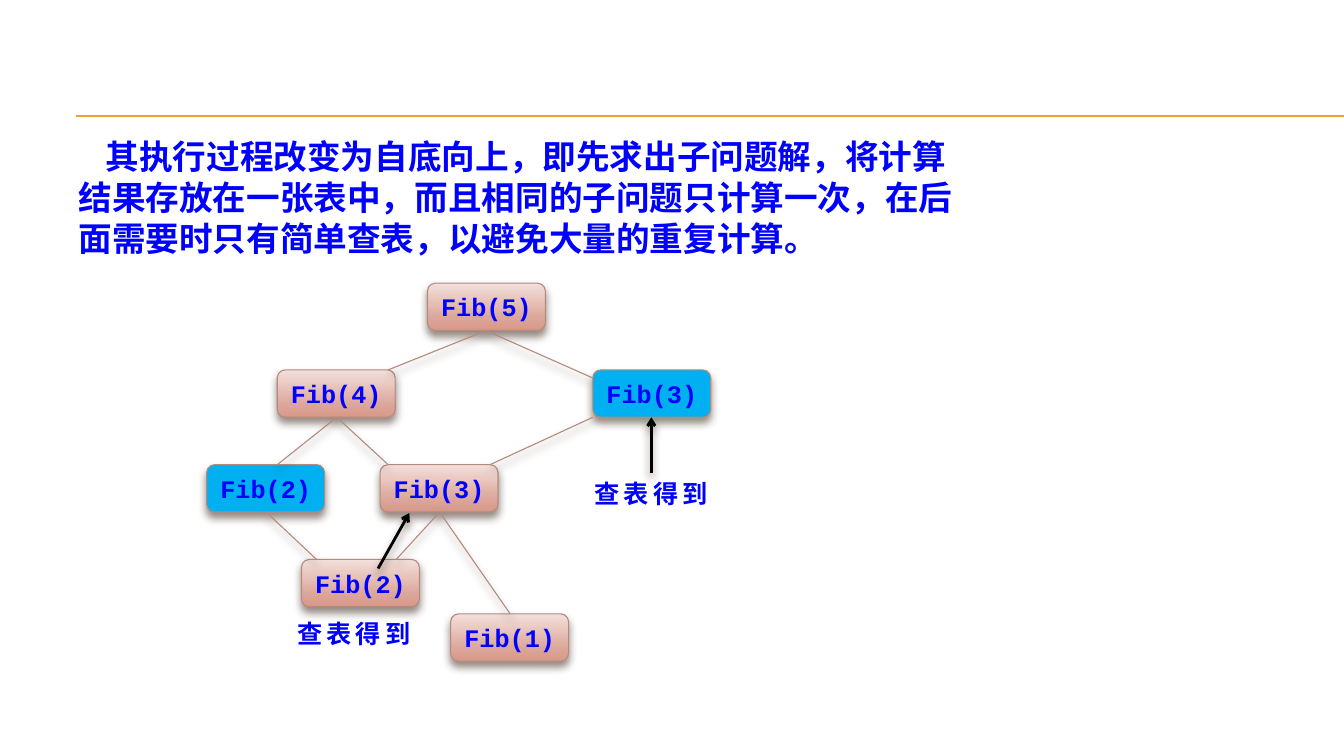
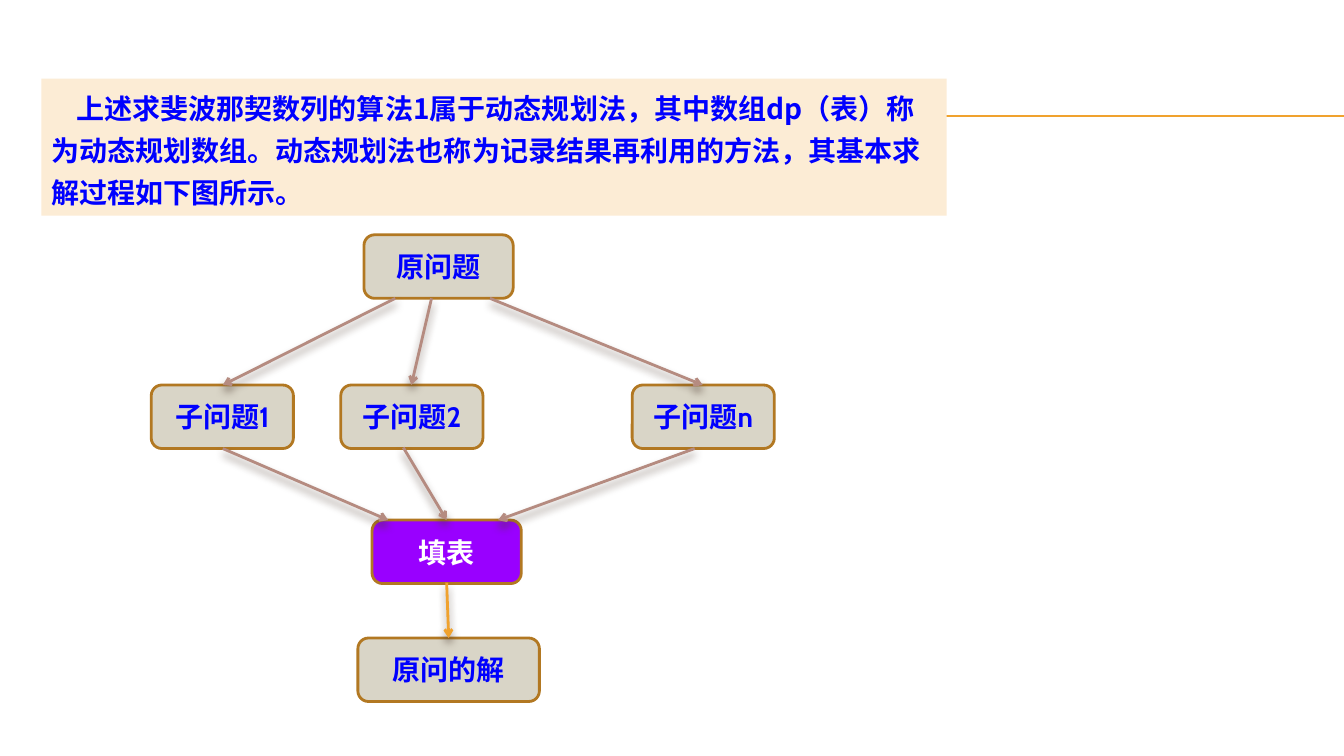
"""Build two slides on computing Fibonacci numbers with dynamic programming."""
from lxml import etree
from pptx import Presentation
from pptx.dml.color import RGBColor
from pptx.enum.shapes import MSO_CONNECTOR, MSO_SHAPE
from pptx.enum.text import MSO_ANCHOR, PP_ALIGN
from pptx.oxml import parse_xml
from pptx.oxml.ns import nsdecls, qn
from pptx.util import Pt

PX = 9144
STRAIGHT = MSO_CONNECTOR.STRAIGHT
RECTANGLE, ROUNDED = MSO_SHAPE.RECTANGLE, MSO_SHAPE.ROUNDED_RECTANGLE
TOP, MIDDLE = MSO_ANCHOR.TOP, MSO_ANCHOR.MIDDLE
LEFT, CENTER = PP_ALIGN.LEFT, PP_ALIGN.CENTER
BLANK_LAYOUT = 6

CJK, CODE, BODY = "Noto Sans CJK SC", "Courier New", "Cabin"
BLUE, WHITE, BLACK = "0000FF", "FFFFFF", "000000"
ORANGE, BROWN, ROSE = "F0A22E", "B27822", "B58B80"
CREAM, STONE, PURPLE, CYAN = "FCECD5", "D9D5C7", "9900FF", "00B0F0"

SHADOW = (
    f'<a:outerShdw {nsdecls("a")} blurRad="76200" dist="50800" dir="5400000" rotWithShape="0">'
    '<a:srgbClr val="4E3B30"><a:alpha val="60000"/></a:srgbClr></a:outerShdw>'
)
STOPS = "".join(
    f'<a:gs pos="{percent * 1000}"><a:srgbClr val="{value}"/></a:gs>'
    for percent, value in ((0, "F3E0DB"), (72, "DCA79B"), (100, "D89787"))
)
GRADIENT = (
    f'<a:gradFill {nsdecls("a")} rotWithShape="1"><a:gsLst>{STOPS}</a:gsLst>'
    '<a:lin ang="5400000" scaled="1"/></a:gradFill>'
)

color = RGBColor.from_string


def add_text(page, bounds, text, kind=None, fill=None, line=None, width=2, size=20, font=CJK,
             ink=BLUE, align=CENTER, anchor=TOP, leading=None, indent=0, tracking=0, inset=5):
    """Add a text box, or a preset shape of the given kind, holding one paragraph."""
    bounds = [value * PX for value in bounds]
    if kind is None:
        box = page.shapes.add_textbox(*bounds)
    else:
        box = page.shapes.add_shape(kind, *bounds)
        box.shadow.inherit = False
        if fill:
            box.fill.solid()
            box.fill.fore_color.rgb = color(fill)
        else:
            box.element.spPr.insert(2, parse_xml(GRADIENT))
        if line:
            box.line.color.rgb = color(line)
            box.line.width = Pt(width)
        else:
            box.line.fill.background()
    frame = box.text_frame
    frame.word_wrap = True
    frame.vertical_anchor = anchor
    frame.margin_top = inset * PX
    para = frame.paragraphs[0]
    para.alignment = align
    if leading:
        para.line_spacing = Pt(leading)
    if indent:
        para._p.get_or_add_pPr().set("indent", str(indent * PX))
    span = para.add_run()
    span.text = text
    span.font.size = Pt(size)
    span.font.bold = True
    span.font.name = font
    span.font.color.rgb = color(ink)
    properties = span._r.get_or_add_rPr()
    etree.SubElement(properties, qn("a:ea")).set("typeface", CJK)
    if tracking:
        properties.set("spc", str(tracking * 100))
    return box


def add_line(page, ends, ink=ROSE, width=2, arrow=True, shadow=True):
    """Add a straight line, with an arrowhead and a soft shadow if asked for."""
    line = page.shapes.add_connector(STRAIGHT, *[value * PX for value in ends])
    line.line.color.rgb = color(ink)
    line.line.width = Pt(width)
    if arrow:
        etree.SubElement(line.line._get_or_add_ln(), qn("a:tailEnd")).set("type", "arrow")
    effects = etree.SubElement(line.element.spPr, qn("a:effectLst"))
    if shadow:
        effects.append(parse_xml(SHADOW))


deck = Presentation()
deck.slide_width, deck.slide_height = 1333 * PX, 750 * PX
pages = [deck.slides.add_slide(deck.slide_layouts[BLANK_LAYOUT]) for _ in range(2)]
for page in pages:
    for y in (115, 116):
        add_line(page, (75, y, 1333, y), ORANGE, 0.75, arrow=False, shadow=False)
tree_page, process_page = pages

add_text(
    tree_page, (68, 127, 891, 131),
    "其执行过程改变为自底向上，即先求出子问题解，将计算结果存放在一张表中，"
    "而且相同的子问题只计算一次，在后面需要时只有简单查表，以避免大量的重复计算。",
    size=24, align=LEFT, leading=29, indent=27, inset=8,
)
calls = [
    (424, 281, 5, None),
    (275, 367, 4, None),
    (377, 461, 3, None),
    (205, 461, 2, CYAN),
    (299, 555, 2, None),
    (447, 609, 1, None),
    (588, 367, 3, CYAN),
]
for x, y, number, fill in calls:
    node = add_text(tree_page, (x, y, 117, 47), f"Fib({number})", ROUNDED, fill, ROSE, 0.79,
                    size=18, font=CODE, anchor=MIDDLE)
    node.element.spPr.find(qn("a:effectLst")).append(parse_xml(SHADOW))
branches = [
    (436, 508, 393, 555),
    (436, 508, 506, 609),
    (334, 414, 275, 461),
    (482, 328, 385, 367),
    (482, 328, 588, 375),
    (334, 414, 385, 461),
    (588, 414, 486, 461),
    (264, 508, 314, 555),
]
for ends in branches:
    add_line(tree_page, ends, width=0.79, arrow=False)
lookups = [
    ((568, 469), (646, 469, 646, 414)),
    ((273, 608), (375, 564, 406, 509)),
]
for corner, ends in lookups:
    add_text(tree_page, (*corner, 156, 40), "查表得到", size=18, leading=22, tracking=3)
    add_line(tree_page, ends, BLACK)

add_text(
    process_page, (41, 78, 898, 136),
    "上述求斐波那契数列的算法1属于动态规划法，其中数组dp（表）称为动态规划数组。"
    "动态规划法也称为记录结果再利用的方法，其基本求解过程如下图所示。",
    RECTANGLE, CREAM, align=LEFT, leading=30, indent=25,
)
steps = [
    (361, 233, 148, "原问题", STONE, BLUE),
    (150, 382, 141, "子问题1", STONE, BLUE),
    (338, 382, 141, "子问题2", STONE, BLUE),
    (627, 382, 141, "子问题n", STONE, BLUE),
    (369, 516, 148, "填表", PURPLE, WHITE),
    (355, 633, 180, "原问的解", STONE, BLUE),
]
for x, y, width, label, fill, ink in steps:
    add_text(process_page, (x, y, width, 63), label, ROUNDED, fill, BROWN,
             font=BODY, ink=ink, anchor=MIDDLE)
flows = [
    (392, 296, 221, 382),
    (428, 296, 408, 382),
    (486, 296, 697, 382),
    (400, 444, 443, 516),
    (221, 445, 385, 516),
    (689, 445, 494, 516),
]
for ends in flows:
    add_line(process_page, ends)
add_line(process_page, (443, 578, 445, 633), ORANGE)

deck.save("out.pptx")
